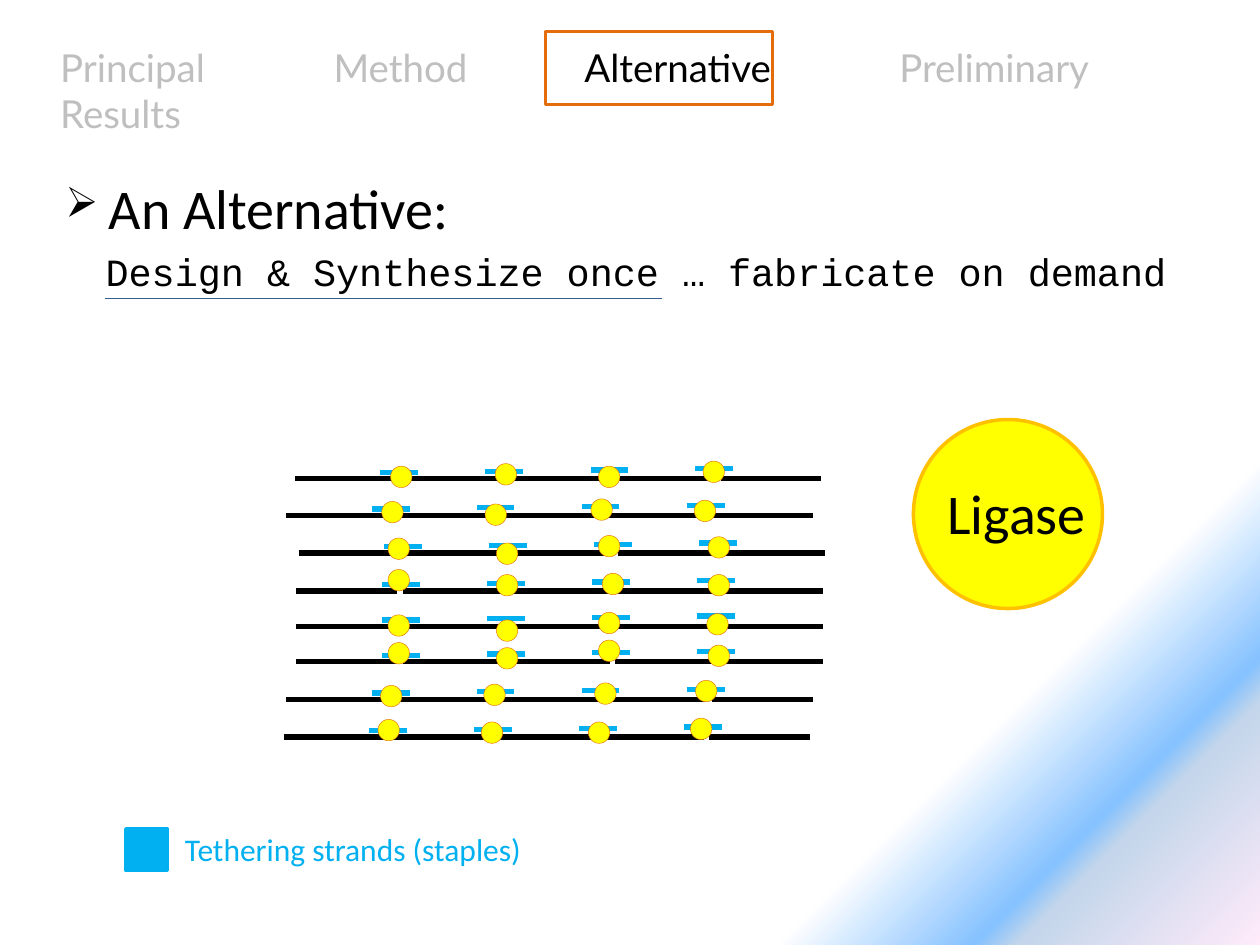
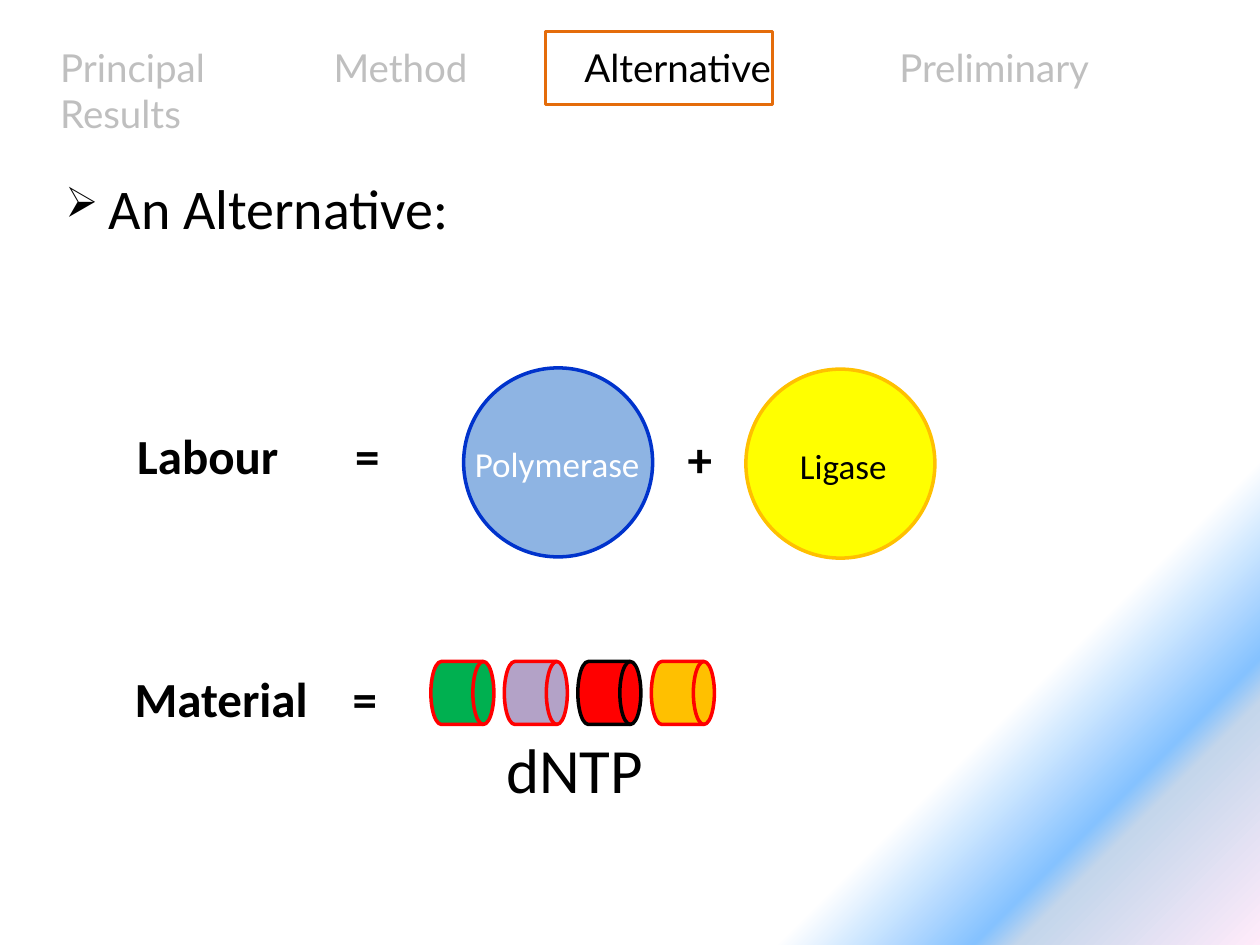
from pptx import Presentation
from pptx.dml.color import RGBColor
from pptx.enum.shapes import MSO_CONNECTOR, MSO_SHAPE
from pptx.oxml.ns import qn
from pptx.util import Inches, Pt
from lxml.etree import SubElement

# Colours
BLACK = RGBColor(0x00, 0x00, 0x00)
WHITE = RGBColor(0xFF, 0xFF, 0xFF)
GREY = RGBColor(0xBF, 0xBF, 0xBF)
ORANGE = RGBColor(0xE4, 0x6C, 0x0A)
AMBER = RGBColor(0xFF, 0xC0, 0x00)
YELLOW = RGBColor(0xFF, 0xFF, 0x00)
RED = RGBColor(0xFF, 0x00, 0x00)
GREEN = RGBColor(0x00, 0xB0, 0x50)
LILAC = RGBColor(0xB3, 0xA2, 0xC7)
SKY = RGBColor(0x00, 0xB0, 0xF0)
PALE_BLUE = RGBColor(0x8E, 0xB4, 0xE3)
ROYAL_BLUE = RGBColor(0x00, 0x33, 0xCC)
STEEL_BLUE = RGBColor(0x35, 0x5D, 0x8D)
BACKGROUND_STOPS = [(78, "FFFFFF"), (87, "85C2FF"), (89, "C4D6EB"), (100, "FFEBFA")]

BODY_FONT = "Calibri"
HEADER_FONT = "Lato"
CODE_FONT = "Courier New"

# Strand grid: left end and height of each row, then its ligase dots
STRAND_ROWS = [
    (2.34, 3.80, [(3.10, 3.70), (3.93, 3.68), (4.75, 3.70), (5.58, 3.66)]),
    (2.27, 4.09, [(3.03, 3.98), (3.85, 4.00), (4.69, 3.96), (5.51, 3.97)]),
    (2.37, 4.39, [(3.08, 4.27), (3.94, 4.31), (4.75, 4.25), (5.62, 4.26)]),
    (2.35, 4.69, [(3.08, 4.52), (3.94, 4.56), (4.78, 4.55), (5.62, 4.56)]),
    (2.35, 4.97, [(3.08, 4.88), (3.94, 4.92), (4.75, 4.86), (5.61, 4.87)]),
    (2.35, 5.25, [(3.08, 5.10), (3.94, 5.14), (4.75, 5.08), (5.62, 5.12)]),
    (2.27, 5.55, [(3.02, 5.44), (3.84, 5.43), (4.72, 5.42), (5.52, 5.40)]),
    (2.25, 5.85, [(3.00, 5.71), (3.82, 5.73), (4.67, 5.73), (5.48, 5.70)]),
]
STRAND_LENGTH, STRAND_STEP, STRAND_COUNT = 0.8, 3.38 / 4, 5
STAPLE_LENGTH, STAPLE_STEP, STAPLE_COUNT = 0.3, 2.5 / 3, 4
STAPLE_OFFSET, STAPLE_RISE = 0.68, 0.05
DOT_SIZE = 0.17
ENZYME_SIZE = 1.5


# Element builders
def add_shape(slide, kind, left, top, width, height, fill, line, line_width=2):
    shape = slide.shapes.add_shape(
        kind, Inches(left), Inches(top), Inches(width), Inches(height))
    shape.shadow.inherit = False
    if fill is None:
        shape.fill.background()
    else:
        shape.fill.solid()
        shape.fill.fore_color.rgb = fill
    shape.line.color.rgb = line
    shape.line.width = Pt(line_width)
    return shape


def add_line(slide, left, top, length, color, width):
    line = slide.shapes.add_connector(
        MSO_CONNECTOR.STRAIGHT, Inches(left), Inches(top),
        Inches(left + length), Inches(top))
    line.line.color.rgb = color
    line.line.width = Pt(width)
    SubElement(line._element.spPr, qn("a:effectLst"))


def add_run(paragraph, text, size, color=BLACK, font=BODY_FONT, bold=False):
    run = paragraph.add_run()
    run.text = text
    run.font.size = Pt(size)
    run.font.name = font
    run.font.bold = bold
    run.font.color.rgb = color


def add_paragraph_box(slide, left, top, width, height):
    box = slide.shapes.add_textbox(
        Inches(left), Inches(top), Inches(width), Inches(height))
    box.text_frame.word_wrap = True
    return box.text_frame.paragraphs[0]


def add_label(slide, left, top, width, height, text, size, **style):
    paragraph = add_paragraph_box(slide, left, top, width, height)
    add_run(paragraph, text, size, **style)
    return paragraph


def set_tabs(paragraph, positions):
    tab_list = SubElement(paragraph._p.get_or_add_pPr(), qn("a:tabLst"))
    for position in positions:
        SubElement(tab_list, qn("a:tab"), pos=str(Inches(position)), algn="l")


def set_bullet(paragraph, character, indent):
    properties = paragraph._p.get_or_add_pPr()
    properties.set("marL", str(Inches(indent)))
    properties.set("indent", str(-Inches(indent)))
    SubElement(properties, qn("a:buChar"), char=character)


# Shared parts
def set_background(master):
    fill = master.background.fill
    fill.gradient()
    fill.gradient_angle = 315
    stop_list = next(master.element.iter(qn("a:gsLst")))
    for stop in list(stop_list):
        stop_list.remove(stop)
    for position, color in BACKGROUND_STOPS:
        stop = SubElement(stop_list, qn("a:gs"), pos=str(position * 1000))
        SubElement(stop, qn("a:srgbClr"), val=color)


def add_topic_slide(presentation):
    slide = presentation.slides.add_slide(presentation.slide_layouts[6])

    # Section header with the current section framed
    header = add_paragraph_box(slide, 0.38, 0.3, 9.23, 0.47)
    set_tabs(header, [2.17, 4.16, 6.66])
    for text, color in [("Principal\tMethod\t", GREY), ("Alternative", BLACK),
                        ("\tPreliminary Results", GREY)]:
        add_run(header, text, 22, color, HEADER_FONT)
    add_shape(slide, MSO_SHAPE.RECTANGLE, 4.33, 0.25, 1.8, 0.58, None, ORANGE)

    # Bulleted title
    title = add_paragraph_box(slide, 0.42, 1.33, 3.38, 0.64)
    set_bullet(title, "➢", 0.27)
    add_run(title, " ", 24)
    add_run(title, "An Alternative:", 32)
    return slide


def add_enzyme(slide, left, top, fill, line):
    add_shape(slide, MSO_SHAPE.OVAL, left, top, ENZYME_SIZE, ENZYME_SIZE, fill, line)


# Slide contents
def add_strands(slide):
    for left, top, _ in STRAND_ROWS:
        for column in range(STAPLE_COUNT):
            add_line(slide, left + STAPLE_OFFSET + column * STAPLE_STEP,
                     top - STAPLE_RISE - column * 0.01, STAPLE_LENGTH, SKY, 3)
    for left, top, _ in STRAND_ROWS:
        for column in range(STRAND_COUNT):
            add_line(slide, left + column * STRAND_STEP, top, STRAND_LENGTH, BLACK, 3)
    for _, _, dots in STRAND_ROWS:
        for dot_left, dot_top in dots:
            add_shape(slide, MSO_SHAPE.OVAL, dot_left, dot_top,
                      DOT_SIZE, DOT_SIZE, YELLOW, ORANGE, 0.25)


def build_fabrication_slide(presentation):
    slide = add_topic_slide(presentation)
    add_label(slide, 0.74, 1.92, 8.75, 0.47,
              "Design & Synthesize once … fabricate on demand", 22, font=CODE_FONT)
    add_line(slide, 0.83, 2.37, 4.42, STEEL_BLUE, 0.75)
    add_strands(slide)

    # Ligase and legend
    add_enzyme(slide, 7.25, 3.33, YELLOW, AMBER)
    add_label(slide, 7.42, 3.75, 1.75, 0.64, "Ligase", 32)
    add_shape(slide, MSO_SHAPE.RECTANGLE, 1, 6.58, 0.33, 0.33, SKY, SKY)
    add_label(slide, 1.37, 6.54, 2.9, 0.4, "Tethering strands (staples)", 18, color=SKY)


def build_cost_slide(presentation):
    slide = add_topic_slide(presentation)

    # Labour: two enzymes
    labour = add_label(slide, 0.99, 3.33, 2.51, 0.57, "Labour\t=", 28, bold=True)
    set_tabs(labour, [1.73])
    add_enzyme(slide, 3.68, 2.92, PALE_BLUE, ROYAL_BLUE)
    add_label(slide, 3.67, 3.46, 2.08, 0.44, "Polymerase", 20, color=WHITE)
    add_label(slide, 5.36, 3.35, 0.4, 0.57, "+", 28, bold=True)
    add_enzyme(slide, 5.92, 2.93, YELLOW, AMBER)
    add_label(slide, 6.25, 3.48, 2.08, 0.44, "Ligase", 20)

    # Material: four nucleotides
    material = add_label(slide, 0.97, 5.26, 2.6, 0.57, "Material\t=", 28, bold=True)
    set_tabs(material, [1.73])
    nucleotides = [(GREEN, RED), (LILAC, RED), (RED, BLACK), (AMBER, RED)]
    for index, (fill, line) in enumerate(nucleotides):
        add_shape(slide, MSO_SHAPE.FLOWCHART_DIRECT_ACCESS_STORAGE,
                  3.42 + index * 1.75 / 3, 5.25, 0.5, 0.5, fill, line)
    add_label(slide, 3.92, 5.75, 1.3, 0.71, "dNTP", 36)


def main():
    presentation = Presentation()
    presentation.slide_width = Inches(10)
    presentation.slide_height = Inches(7.5)
    set_background(presentation.slide_master)
    build_fabrication_slide(presentation)
    build_cost_slide(presentation)
    presentation.save("out.pptx")


if __name__ == "__main__":
    main()
